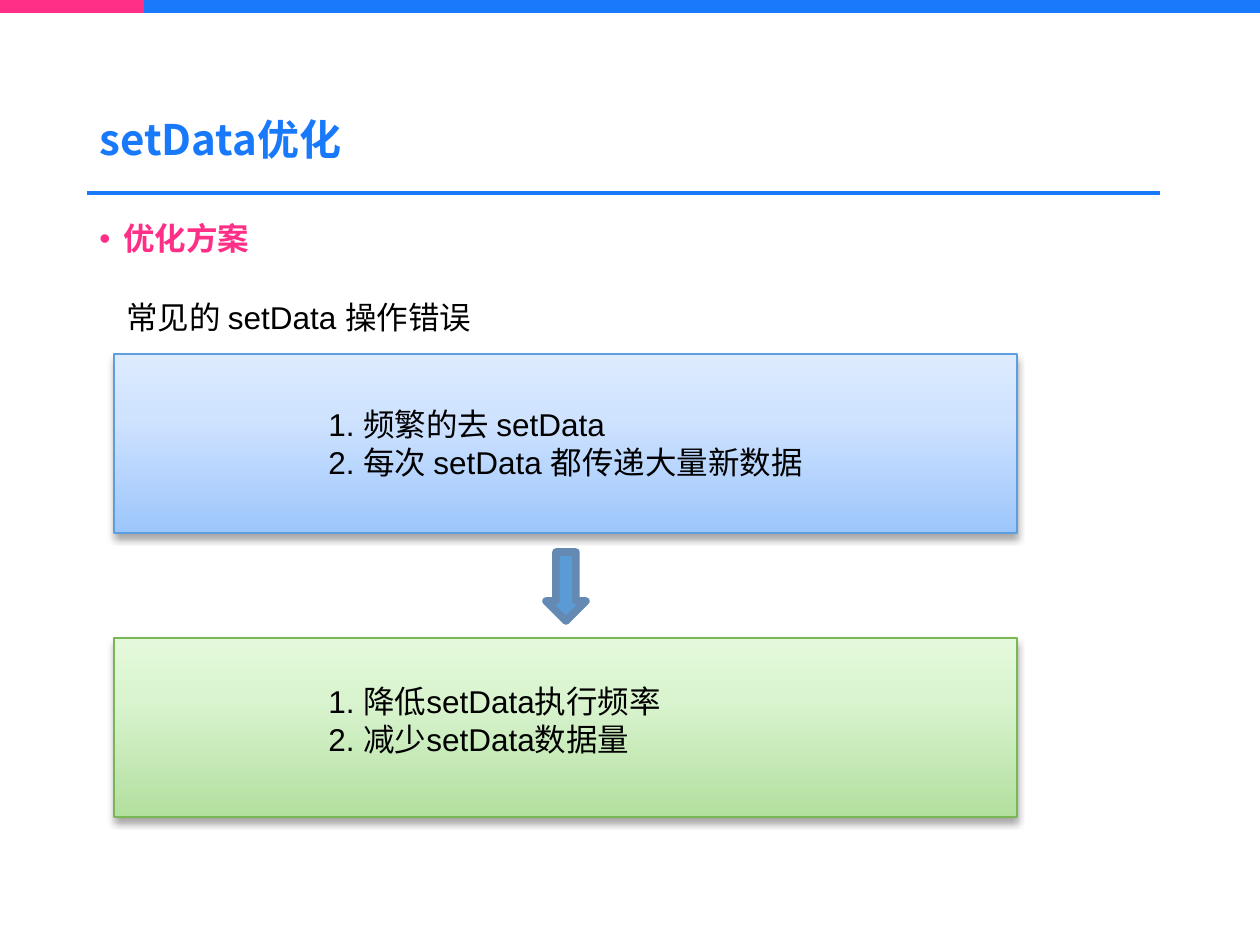
from lxml.etree import SubElement
from pptx import Presentation
from pptx.dml.color import RGBColor
from pptx.enum.shapes import MSO_CONNECTOR, MSO_SHAPE
from pptx.enum.text import MSO_ANCHOR
from pptx.oxml.ns import qn
from pptx.util import Pt

PX = 914400 / 126
CJK = "Noto Sans CJK SC"
COLORS = {
    "pink": "FF2E86", "blue": "1979FB", "black": "000000",
    "arrow": "5B9BD5", "arrow_line": "648AB4",
    "problem_line": "5F9EDD", "solution_line": "78B753",
}
GRADIENTS = {
    "problem": {0: "9DC6FB", 65: "CFE3FF", 100: "DEEBFF"},
    "solution": {0: "B3DF9F", 65: "D9F4CF", 100: "E4F9DB"},
}


def emu(*lengths):
    """Turn px lengths into EMU."""
    return [round(n * PX) for n in lengths]


def rgb(name):
    """Look up a named colour."""
    return RGBColor.from_string(COLORS[name])


def add_sub(parent, tag, **attrs):
    """Append a DrawingML element with attributes."""
    return SubElement(parent, qn(tag), {k: str(v) for k, v in attrs.items()})


def add_text(s, box, lines, size=18, font="Arial", color="black", bold=False,
             anchor=MSO_ANCHOR.TOP):
    """Add a text box with one paragraph per line."""
    tf = s.shapes.add_textbox(*emu(*box)).text_frame
    tf.word_wrap = True
    tf.vertical_anchor = anchor
    for i, line in enumerate(lines):
        p = tf.paragraphs[0] if i == 0 else tf.add_paragraph()
        r = p.add_run()
        r.text = line
        r.font.size, r.font.name, r.font.bold = Pt(size), font, bold
        r.font.color.rgb = rgb(color)
        add_sub(r.font._element, "a:ea", typeface=CJK)
    return tf


def add_bar(s, box, color):
    """Add a plain coloured bar."""
    sp = s.shapes.add_shape(MSO_SHAPE.RECTANGLE, *emu(*box))
    sp.shadow.inherit = False
    sp.fill.solid()
    sp.fill.fore_color.rgb = rgb(color)
    sp.line.fill.background()


def add_header(s, box, title):
    """Add the top bars, the title and its rule."""
    x, y, w, h = box
    split = 144
    add_bar(s, (x, y, split, 13), "pink")
    add_bar(s, (x + split, y, w - split, 13), "blue")
    rule = s.shapes.add_connector(
        MSO_CONNECTOR.STRAIGHT, *emu(x + 87, y + h, x + 1160, y + h))
    rule.line.color.rgb = rgb("blue")
    rule.line.width = Pt(2.25)
    add_sub(rule._element.spPr, "a:effectLst")
    tf = add_text(s, (x + 87, y + 50, 1086, 183), [title], 24, CJK, "blue",
                  True, MSO_ANCHOR.MIDDLE)
    tf.paragraphs[0].line_spacing = 0.9


def add_body(s, box, text):
    """Add the bulleted heading of the body."""
    tf = add_text(s, box, [text], 18, CJK, "pink", True)
    p = tf.paragraphs[0]
    p.line_spacing, p.space_before = 0.9, Pt(7.5)
    pPr = p._p.get_or_add_pPr()
    indent, = emu(24)
    pPr.set("marL", str(indent))
    pPr.set("indent", str(-indent))
    add_sub(pPr, "a:buFont", typeface="Arial")
    add_sub(pPr, "a:buChar", char="•")


def add_panel(s, box, kind, lines, text_top):
    """Add a shaded gradient panel with its list."""
    x, y, w, h = box
    sp = s.shapes.add_shape(MSO_SHAPE.RECTANGLE, *emu(*box))
    sp.fill.gradient()
    sp.fill.gradient_angle = 90
    stops = sp._element.spPr.find(".//" + qn("a:gsLst"))
    stops.clear()
    for pos, color in GRADIENTS[kind].items():
        stop = add_sub(stops, "a:gs", pos=pos * 1000)
        add_sub(stop, "a:srgbClr", val=color)
    sp.line.color.rgb = rgb(kind + "_line")
    sp.line.width = Pt(1)
    sp.shadow.inherit = False
    effects = sp._element.spPr.find(qn("a:effectLst"))
    shadow = add_sub(effects, "a:outerShdw", blurRad=Pt(4), dist=Pt(3),
                     dir=90 * 60000, rotWithShape=0)
    add_sub(add_sub(shadow, "a:srgbClr", val=COLORS["black"]),
            "a:alpha", val=35000)
    add_text(s, (x + 202, y + text_top, 712, 89), lines)


def add_arrow(s, box):
    """Add the down arrow between the panels."""
    sp = s.shapes.add_shape(MSO_SHAPE.DOWN_ARROW, *emu(*box))
    sp.shadow.inherit = False
    sp.fill.solid()
    sp.fill.fore_color.rgb = rgb("arrow")
    sp.line.color.rgb = rgb("arrow_line")
    sp.line.width = Pt(4.33)
    add_sub(sp._element.spPr.find(qn("a:ln")), "a:round")


def main():
    """Build and save the slide."""
    prs = Presentation()
    prs.slide_width, prs.slide_height = emu(1260, 945)
    s = prs.slides.add_slide(prs.slide_layouts[6])
    add_header(s, (0, 0, 1260, 193), "setData优化")
    add_body(s, (87, 217, 1086, 600), "优化方案")
    add_text(s, (114, 292, 401, 50), ["常见的 setData 操作错误"])
    add_panel(s, (114, 354, 903, 179), "problem",
              ["1. 频繁的去 setData", "2. 每次 setData 都传递大量新数据"], 45)
    add_panel(s, (114, 638, 903, 179), "solution",
              ["1. 降低setData执行频率", "2. 减少setData数据量"], 38)
    add_arrow(s, (546, 552, 40, 69))
    prs.save("out.pptx")


if __name__ == "__main__":
    main()
